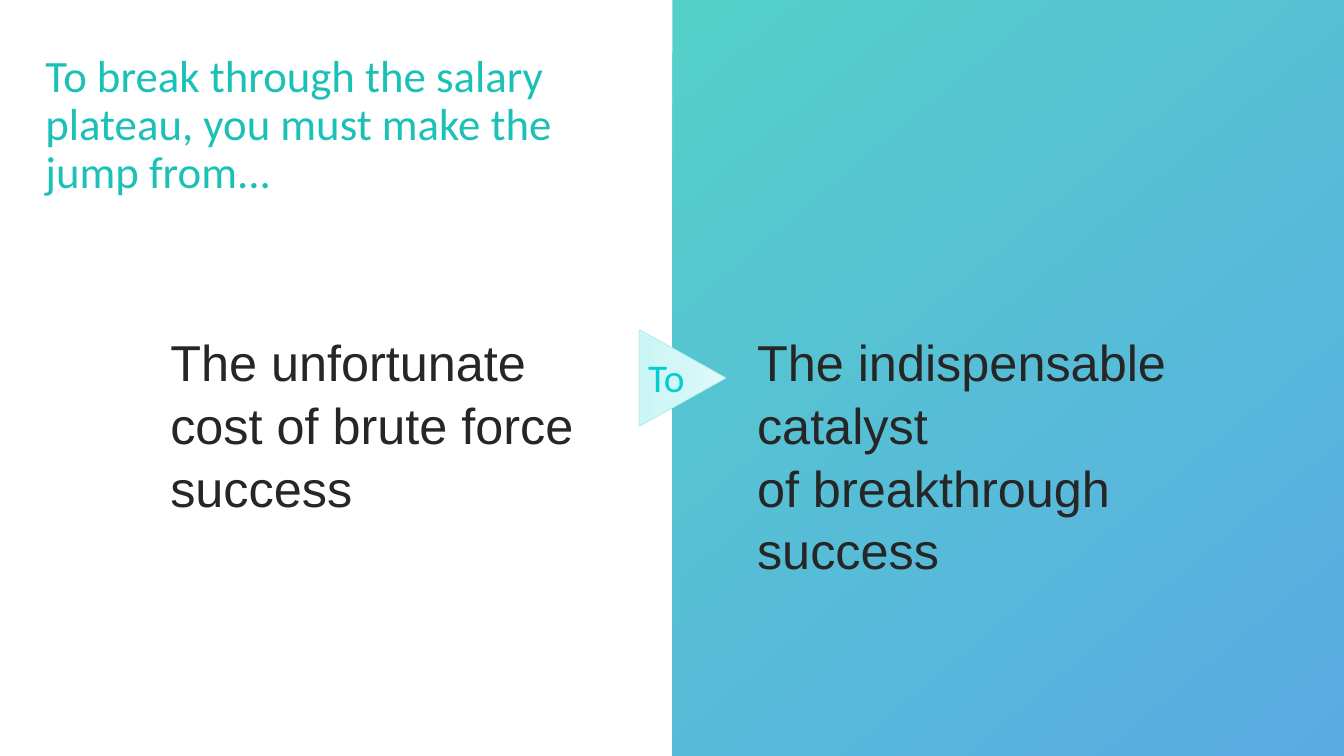
from dataclasses import dataclass

from lxml.etree import SubElement
from pptx import Presentation
from pptx.dml.color import RGBColor
from pptx.enum.shapes import MSO_SHAPE
from pptx.enum.text import MSO_ANCHOR, MSO_AUTO_SIZE, PP_ALIGN
from pptx.oxml.ns import qn
from pptx.shapes.autoshape import Shape
from pptx.util import Inches, Pt


@dataclass(frozen=True)
class Box:
    left: float
    top: float
    width: float
    height: float

    def lengths(self) -> tuple:
        return tuple(map(Inches, (self.left, self.top, self.width, self.height)))


@dataclass(frozen=True)
class TextStyle:
    font: str
    size: int
    color: str
    line_spacing: float


@dataclass(frozen=True)
class Gradient:
    colors: tuple[str, ...]
    angle: int
    opacity: int = 100


@dataclass(frozen=True)
class Statement:
    box: Box
    lines: tuple[str, ...]


HEADING = TextStyle("Calibri", 32, "1BC1B7", 0.9)
ARROW_LABEL = TextStyle("Calibri", 28, "00CED1", 0.9)
STATEMENT = TextStyle("Arial", 36, "262626", 1.04)

PANEL_GRADIENT = Gradient(("1BC1B7", "248FDB"), 50, 75)
ARROW_GRADIENT = Gradient(("E1F9F9", "D3F6F6", "CCF6F6"), 90)

STATEMENTS = (
    Statement(Box(1.59, 3.21, 4.58, 1.92),
              ("The unfortunate cost of brute force success",)),
    Statement(Box(7.41, 3.21, 5.72, 1.92),
              ("The indispensable catalyst", "of breakthrough", "success")),
)


def color(value: str) -> RGBColor:
    return RGBColor.from_string(value)


def write_text(shape: Shape, lines: tuple[str, ...], style: TextStyle,
               auto_size: MSO_AUTO_SIZE = MSO_AUTO_SIZE.NONE) -> None:
    frame = shape.text_frame
    frame.text = "\n".join(lines)
    frame.word_wrap = True
    frame.auto_size = auto_size
    frame.vertical_anchor = MSO_ANCHOR.TOP
    for paragraph in frame.paragraphs:
        paragraph.alignment = PP_ALIGN.LEFT
        paragraph.line_spacing = style.line_spacing
        paragraph.space_before = Pt(0)
        paragraph.font.name = style.font
        paragraph.font.size = Pt(style.size)
        paragraph.font.color.rgb = color(style.color)


def add_gradient_shape(shapes, kind: MSO_SHAPE, box: Box, gradient: Gradient) -> Shape:
    shape = shapes.add_shape(kind, *box.lengths())
    shape.shadow.inherit = False
    shape.line.fill.background()
    shape.fill.gradient()
    shape.fill.gradient_angle = 360 - gradient.angle
    stops = shape.element.spPr.find(qn("a:gradFill")).find(qn("a:gsLst"))
    for stop in list(stops):
        stops.remove(stop)
    for index, value in enumerate(gradient.colors):
        position = 100000 * index // (len(gradient.colors) - 1)
        stop = SubElement(stops, qn("a:gs"), pos=str(position))
        stop_color = SubElement(stop, qn("a:srgbClr"), val=value)
        if gradient.opacity < 100:
            SubElement(stop_color, qn("a:alpha"), val=str(gradient.opacity * 1000))
    return shape


def add_arrow(slide) -> None:
    group = slide.shapes.add_group_shape()
    arrow = add_gradient_shape(group.shapes, MSO_SHAPE.ISOSCELES_TRIANGLE,
                               Box(6.29, 3.32, 0.96, 0.86), ARROW_GRADIENT)
    arrow.rotation = 90
    arrow.line.color.rgb = color("AFEEEE")
    arrow.line.width = Pt(0.5)
    label = group.shapes.add_textbox(*Box(6.33, 3.51, 0.59, 0.6).lengths())
    write_text(label, ("To",), ARROW_LABEL)


def main() -> None:
    presentation = Presentation()
    presentation.slide_width = Inches(13.33)
    presentation.slide_height = Inches(7.5)
    slide = presentation.slides.add_slide(presentation.slide_layouts[5])

    add_gradient_shape(slide.shapes, MSO_SHAPE.RECTANGLE,
                       Box(6.67, 0, 6.67, 7.5), PANEL_GRADIENT)

    title = slide.shapes.title
    title.left, title.top, title.width, title.height = Box(0.35, 0.48, 6.21, 0.6).lengths()
    write_text(title, ("To break through the salary plateau, you must make the jump from...",),
               HEADING)

    for statement in STATEMENTS:
        text_box = slide.shapes.add_textbox(*statement.box.lengths())
        write_text(text_box, statement.lines, STATEMENT, MSO_AUTO_SIZE.SHAPE_TO_FIT_TEXT)

    add_arrow(slide)
    presentation.save("out.pptx")


if __name__ == "__main__":
    main()
